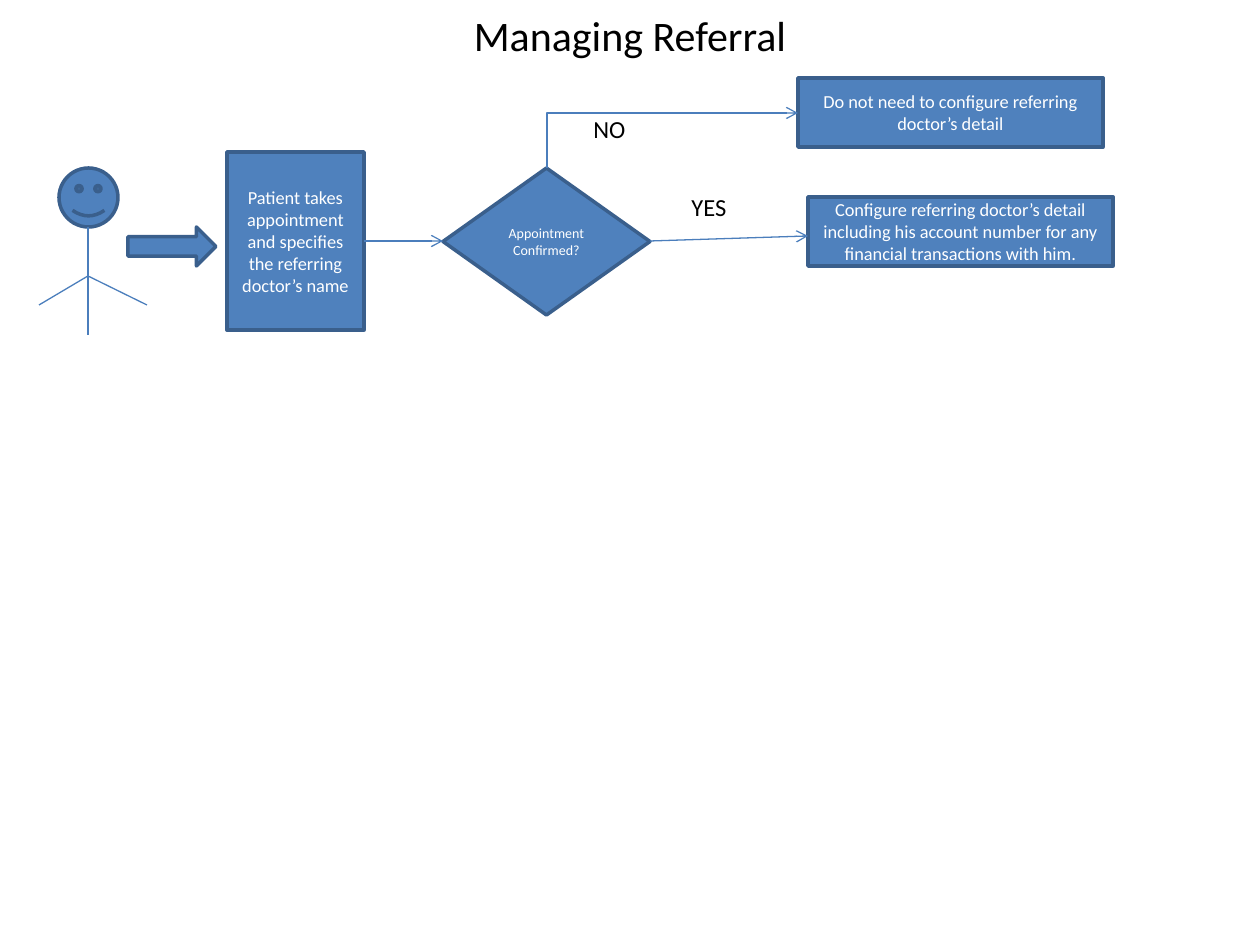
from dataclasses import dataclass

from lxml.etree import SubElement
from pptx import Presentation
from pptx.dml.color import RGBColor
from pptx.enum.shapes import MSO_CONNECTOR, MSO_SHAPE
from pptx.enum.text import MSO_ANCHOR, PP_ALIGN
from pptx.oxml.ns import qn
from pptx.shapes.connector import Connector
from pptx.util import Emu, Pt

PX_PER_INCH = 126
COLORS = {
    "fill": "4F81BD",
    "outline": "3A5F8C",
    "line": "4B7EBC",
    "light": "FFFFFF",
    "dark": "000000",
}
FONT = "Calibri"


@dataclass(frozen=True)
class Node:
    kind: MSO_SHAPE
    x: int
    y: int
    w: int
    h: int
    text: str = ""
    size: float = 10.5


@dataclass(frozen=True)
class Label:
    x: int
    y: int
    w: int
    h: int
    text: str
    size: float = 14
    align: PP_ALIGN = PP_ALIGN.LEFT
    anchor: MSO_ANCHOR = MSO_ANCHOR.TOP


@dataclass(frozen=True)
class Link:
    x1: int
    y1: int
    x2: int
    y2: int
    arrow: bool = True


TITLE = Label(63, 0, 1134, 69, "Managing Referral", 24,
              PP_ALIGN.CENTER, MSO_ANCHOR.MIDDLE)
HEAD = Node(MSO_SHAPE.SMILEY_FACE, 59, 168, 59, 59)
LIMBS = [
    Link(88, 227, 88, 335, arrow=False),
    Link(88, 276, 39, 305, arrow=False),
    Link(88, 276, 147, 305, arrow=False),
]
NODES = [
    Node(MSO_SHAPE.FLOWCHART_PROCESS, 227, 152, 137, 178,
         "Patient takes appointment and specifies the referring doctor’s name"),
    Node(MSO_SHAPE.FLOWCHART_DECISION, 443, 168, 207, 147,
         "Appointment Confirmed?", 8),
    Node(MSO_SHAPE.FLOWCHART_PROCESS, 798, 78, 305, 69,
         "Do not need to configure referring doctor’s detail"),
    Node(MSO_SHAPE.FLOWCHART_PROCESS, 808, 197, 305, 69,
         "Configure referring doctor’s detail including his account number "
         "for any financial transactions with him."),
    Node(MSO_SHAPE.RIGHT_ARROW, 128, 227, 88, 39),
]
NO_LINK = Link(547, 168, 798, 113)
LINKS = [Link(650, 241, 808, 236), Link(364, 241, 443, 241)]
LABELS = [Label(581, 108, 69, 43, "NO"), Label(679, 186, 69, 43, "YES")]


def px(n: float) -> Emu:
    return Emu(round(n * 914400 / PX_PER_INCH))


def color(name: str) -> RGBColor:
    return RGBColor.from_string(COLORS[name])


def write(tf, text: str, size: float, ink: str, align: PP_ALIGN,
          anchor: MSO_ANCHOR) -> None:
    tf.word_wrap = True
    tf.vertical_anchor = anchor
    p = tf.paragraphs[0]
    p.alignment = align
    r = p.add_run()
    r.text = text
    r.font.name = FONT
    r.font.size = Pt(size)
    r.font.color.rgb = color(ink)


def draw_node(shapes, n: Node) -> None:
    sp = shapes.add_shape(n.kind, px(n.x), px(n.y), px(n.w), px(n.h))
    sp.shadow.inherit = False
    sp.fill.solid()
    sp.fill.fore_color.rgb = color("fill")
    sp.line.color.rgb = color("outline")
    sp.line.width = Pt(2)
    if n.text:
        write(sp.text_frame, n.text, n.size, "light",
              PP_ALIGN.CENTER, MSO_ANCHOR.MIDDLE)


def draw_label(shapes, b: Label) -> None:
    sp = shapes.add_textbox(px(b.x), px(b.y), px(b.w), px(b.h))
    write(sp.text_frame, b.text, b.size, "dark", b.align, b.anchor)


def draw_link(shapes, k: Link) -> Connector:
    c = shapes.add_connector(MSO_CONNECTOR.STRAIGHT,
                             px(k.x1), px(k.y1), px(k.x2), px(k.y2))
    c.line.color.rgb = color("line")
    c.line.width = Pt(0.75)
    if k.arrow:
        SubElement(c.line._get_or_add_ln(), qn("a:tailEnd"), type="arrow")
    SubElement(c._element.spPr, qn("a:effectLst"))
    return c


def draw_elbow(shapes, k: Link) -> None:
    """Draw a link that goes up first, then right, with one corner."""
    c = draw_link(shapes, k)
    rise, run = k.y1 - k.y2, k.x2 - k.x1
    c.left = px((k.x1 + k.x2 - rise) / 2)
    c.top = px((k.y1 + k.y2 - run) / 2)
    c.width, c.height = px(rise), px(run)
    xfrm = c._element.spPr.find(qn("a:xfrm"))
    for name, value in (("rot", "5400000"), ("flipH", "1"), ("flipV", "1")):
        xfrm.set(name, value)
    c._element.spPr.find(qn("a:prstGeom")).set("prst", "bentConnector2")


def main() -> None:
    prs = Presentation()
    prs.slide_width, prs.slide_height = px(1260), px(945)
    s = prs.slides.add_slide(prs.slide_layouts[6])

    draw_label(s.shapes, TITLE)
    patient = s.shapes.add_group_shape()
    draw_node(patient.shapes, HEAD)
    for limb in LIMBS:
        draw_link(patient.shapes, limb)
    for node in NODES:
        draw_node(s.shapes, node)
    draw_elbow(s.shapes, NO_LINK)
    for link in LINKS:
        draw_link(s.shapes, link)
    for label in LABELS:
        draw_label(s.shapes, label)

    prs.save("out.pptx")


if __name__ == "__main__":
    main()
